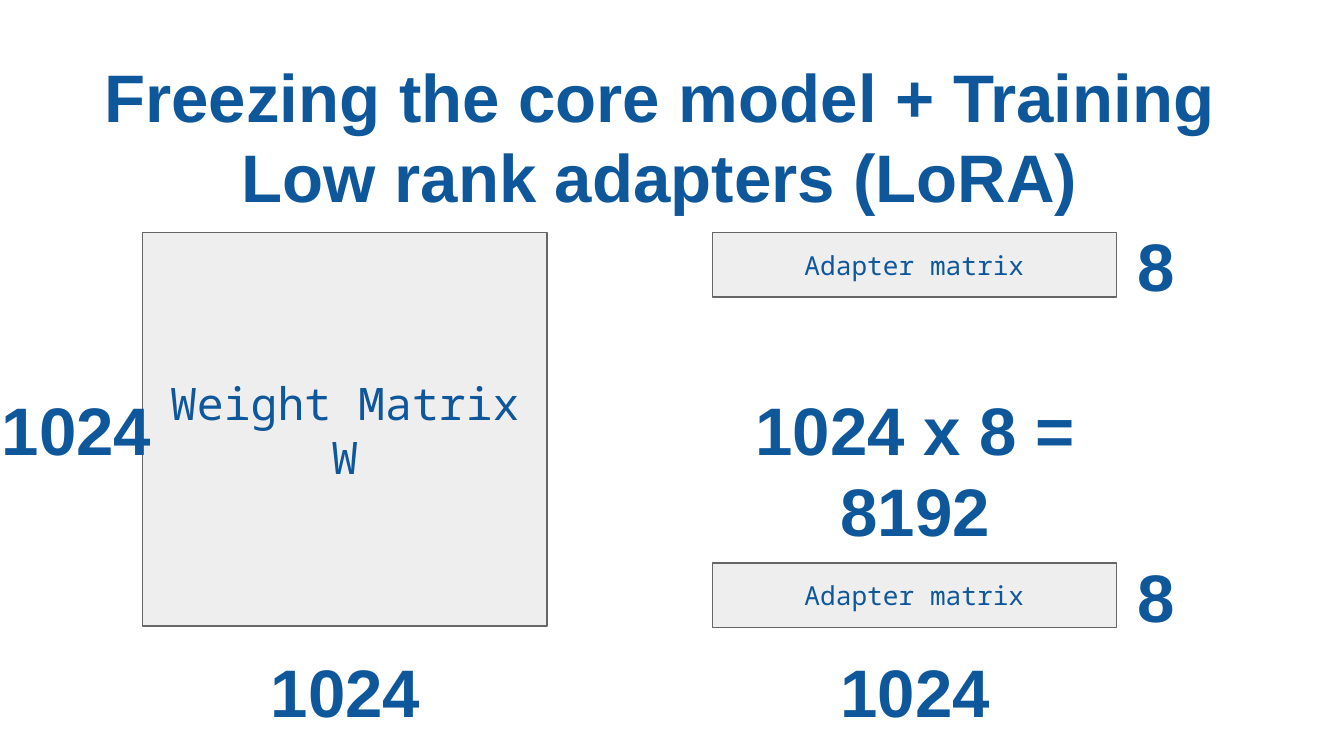
from pptx import Presentation
from pptx.dml.color import RGBColor
from pptx.enum.shapes import MSO_SHAPE as Shape
from pptx.enum.text import MSO_ANCHOR as Anchor, MSO_AUTO_SIZE as AutoSize, PP_ALIGN as Align
from pptx.util import Inches, Pt

BLUE, GREY, BORDER = "0F579B", "EEEEEE", "666666"
MATRIX_LEFT, ADAPTER_LEFT = 1.06, 5.3
MATRIX_WIDTH, MATRIX_TOP = 3.01, 1.73
LABEL_WIDTH, LABEL_HEIGHT = 3.28, 0.81


def color(value):
    """Turn a hex string into a colour."""
    return RGBColor.from_string(value)


def place(box, left, top, width, height):
    """Set the position and size of a box in inches."""
    box.left, box.top = Inches(left), Inches(top)
    box.width, box.height = Inches(width), Inches(height)


def write(box, text, size=36, font="Arial", bold=True, anchor=Anchor.TOP,
          after=0, fit=AutoSize.NONE):
    """Fill a box with centred text, one paragraph per line."""
    frame = box.text_frame
    frame.text = text
    frame.word_wrap = True
    frame.auto_size = fit
    frame.vertical_anchor = anchor
    frame.margin_left = frame.margin_right = Inches(0.1)
    frame.margin_top = frame.margin_bottom = Inches(0.1)
    for para in frame.paragraphs:
        para.alignment = Align.CENTER
        para.space_before, para.space_after = Pt(0), Pt(after)
        para.line_spacing = 1.0
        for span in para.runs:
            span.font.name, span.font.size = font, Pt(size)
            span.font.bold = bold
            span.font.color.rgb = color(BLUE)


def add_matrix(page, text, left, top, height, size):
    """Draw a matrix as a grey rectangle with its name."""
    box = page.shapes.add_shape(Shape.RECTANGLE, 0, 0, 0, 0)
    place(box, left, top, MATRIX_WIDTH, height)
    box.shadow.inherit = False
    box.fill.solid()
    box.fill.fore_color.rgb = color(GREY)
    box.line.color.rgb = color(BORDER)
    box.line.width = Pt(0.75)
    write(box, text, size=size, font="Noto Sans Mono", bold=False, anchor=Anchor.MIDDLE)


def add_label(page, text, left, top):
    """Write a large dimension label."""
    box = page.shapes.add_textbox(0, 0, 0, 0)
    place(box, left, top, LABEL_WIDTH, LABEL_HEIGHT)
    write(box, text, after=8, fit=AutoSize.SHAPE_TO_FIT_TEXT)


def main():
    """Build the slide on low rank adapters."""
    deck = Presentation()
    deck.slide_width = Inches(10)
    deck.slide_height = deck.slide_width * 9 // 16
    page = deck.slides.add_slide(deck.slide_layouts[5])

    title = page.shapes.title
    place(title, 0.6, 0.31, 8.62, 0.84)
    write(title, "Freezing the core model + Training Low rank adapters (LoRA)")

    add_matrix(page, "Weight Matrix\nW", MATRIX_LEFT, MATRIX_TOP, 2.93, 24)
    add_label(page, "1024", MATRIX_LEFT - 0.13, 4.74)
    add_label(page, "1024", -1.07, 2.79)

    adapter_tops = (4.19, MATRIX_TOP)
    for top in adapter_tops:
        add_matrix(page, "Adapter matrix", ADAPTER_LEFT, top, 0.48, 14)
    add_label(page, "1024", ADAPTER_LEFT - 0.13, 4.74)
    for top in adapter_tops:
        add_label(page, "8", 6.96, top - 0.16)
    add_label(page, "1024 x 8 = 8192", ADAPTER_LEFT - 0.13, 2.79)

    deck.save("out.pptx")


if __name__ == "__main__":
    main()
